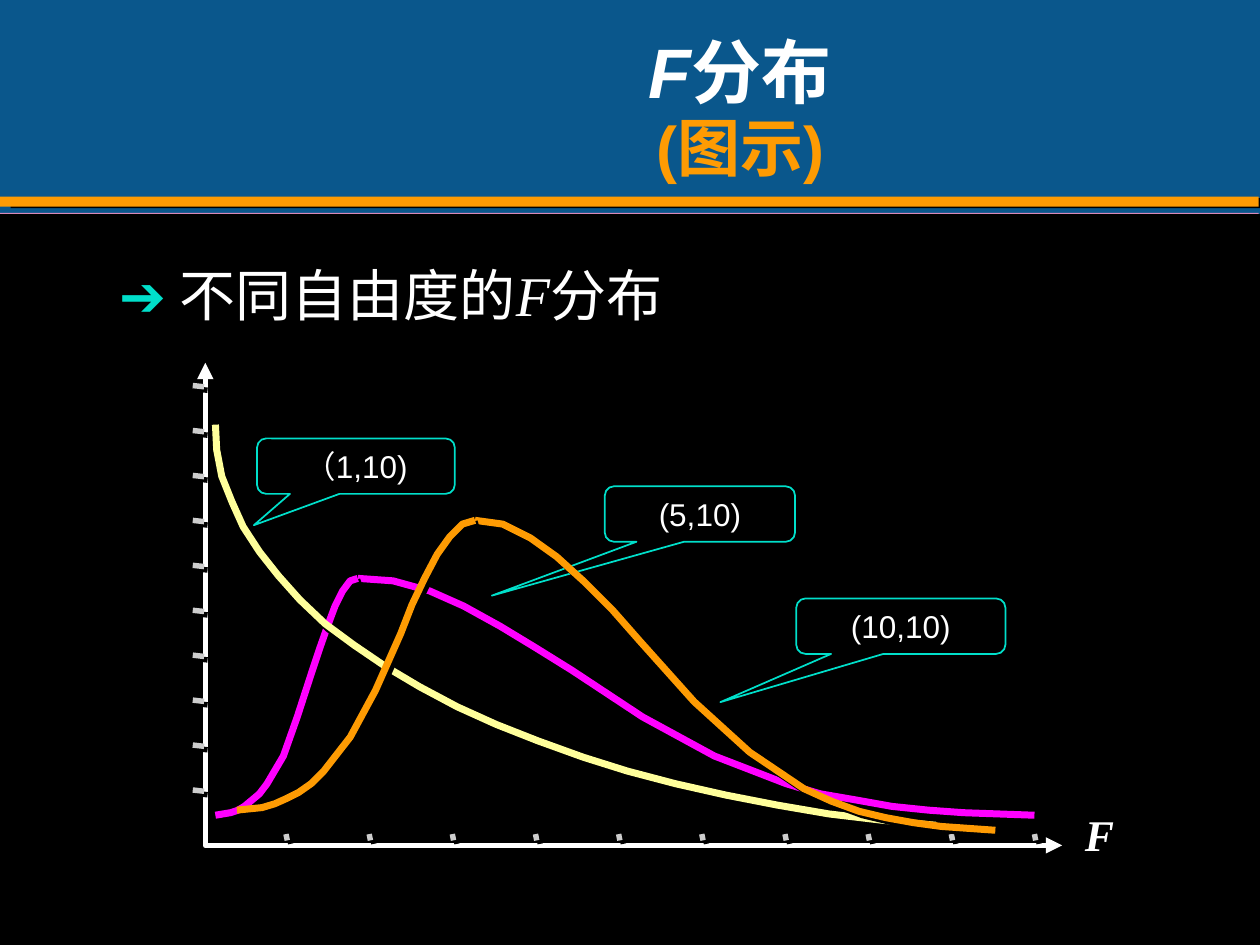
import pptx
import pptx.util
import pptx.dml.color
import pptx.enum.shapes
import pptx.enum.text
import pptx.oxml
import pptx.oxml.ns
from pptx.util import Inches

SHAPE = pptx.enum.shapes.MSO_SHAPE
ALIGN = pptx.enum.text.PP_ALIGN
ANCHOR = pptx.enum.text.MSO_ANCHOR
AUTO_SIZE = pptx.enum.text.MSO_AUTO_SIZE

WHITE, BLACK, BLUE, ORANGE = "FFFFFF", "000000", "0A578C", "FE9B03"
TEAL, MAGENTA, YELLOW, GREY, PINK = "00DFCA", "FF00FF", "FFFF9B", "CDCDCD", "D989B8"

# Curve points in inches; both halves of the (5,10) curve share their heights
RISE_HEIGHTS = [6.47, 6.45, 6.43, 6.4, 6.35, 6.3, 6.22, 6, 5.69, 5.32,
                5.14, 4.97, 4.81, 4.69, 4.61, 4.59]
MAGENTA_RIGHT = [8.21, 7.65, 7.37, 7.08, 6.8, 6.51, 6.24, 5.67, 5.1, 4.54,
                 4.25, 3.97, 3.68, 3.41, 3.12, 2.84]
MAGENTA_LEFT = [1.71, 1.83, 1.89, 1.94, 2, 2.06, 2.12, 2.25, 2.36, 2.48,
                2.54, 2.6, 2.66, 2.72, 2.78, 2.84]
YELLOW_CURVE = [
    (1.71, 3.37), (1.72, 3.57), (1.76, 3.78), (1.84, 3.98), (1.93, 4.18),
    (2.06, 4.38), (2.21, 4.57), (2.38, 4.76), (2.58, 4.95), (2.81, 5.12),
    (3.06, 5.29), (3.33, 5.45), (3.63, 5.61), (3.94, 5.75), (4.27, 5.88),
    (4.63, 6.01), (4.98, 6.12), (5.36, 6.22), (5.76, 6.31), (6.17, 6.39),
    (6.58, 6.46), (7, 6.51), (7.43, 6.55)]
ORANGE_RIGHT = [
    (7.9, 6.59), (7.47, 6.56), (7.25, 6.53), (7.03, 6.49), (6.82, 6.44),
    (6.6, 6.36), (6.38, 6.26), (5.95, 5.97), (5.51, 5.57), (5.08, 5.09),
    (4.86, 4.84), (4.64, 4.62), (4.42, 4.42), (4.21, 4.27), (3.99, 4.16),
    (3.77, 4.13)]
ORANGE_LEFT = [
    (1.88, 6.43), (2.08, 6.41), (2.18, 6.38), (2.27, 6.34), (2.37, 6.29),
    (2.47, 6.22), (2.57, 6.12), (2.78, 5.85), (2.98, 5.48), (3.18, 5.03),
    (3.27, 4.8), (3.37, 4.59), (3.47, 4.4), (3.57, 4.26), (3.67, 4.16),
    (3.77, 4.13)]


def rgb(code):
    return pptx.dml.color.RGBColor.from_string(code)


def add_xml(parent, tag, **attributes):
    child = pptx.oxml.parse_xml(f"<a:{tag} {pptx.oxml.ns.nsdecls('a')}/>")
    for name, value in attributes.items():
        child.set(name, str(value))
    parent.append(child)
    return child


def set_shadow(shape, distance=0, angle=45):
    """Give a hard black shadow, or none when the distance is zero."""
    effects = add_xml(shape.element.spPr, "effectLst")
    if distance:
        shadow = add_xml(effects, "outerShdw", dist=pptx.util.Pt(distance),
                         dir=angle * 60000, algn="ctr", rotWithShape=0)
        add_xml(shadow, "srgbClr", val=BLACK)


def set_line(shape, color, width):
    shape.line.color.rgb = rgb(color)
    shape.line.width = pptx.util.Pt(width)


def write(para, text, size=18, font="Arial", color=WHITE, bold=False, italic=False):
    span = para.add_run()
    span.text = text
    span.font.size = pptx.util.Pt(size)
    span.font.name = font
    span.font.color.rgb = rgb(color)
    span.font.bold = bold
    span.font.italic = italic


def place(shape, box):
    shape.left, shape.top, shape.width, shape.height = map(Inches, box)


def add_bar(page, box, color, distance=0, angle=0):
    bar = page.shapes.add_shape(SHAPE.RECTANGLE, *map(Inches, box))
    bar.fill.solid()
    bar.fill.fore_color.rgb = rgb(color)
    bar.line.fill.background()
    set_shadow(bar, distance, angle)


def add_path(page, points, color, width, distance=2.8, angle=45, arrows=False):
    corners = [(Inches(x), Inches(y)) for x, y in points]
    builder = page.shapes.build_freeform(*corners[0])
    builder.add_line_segments(corners[1:], close=False)
    path_shape = builder.convert_to_shape()
    path_shape.fill.background()
    set_line(path_shape, color, width)
    if arrows:
        for end in ("headEnd", "tailEnd"):
            add_xml(path_shape.line._get_or_add_ln(), end, type="triangle")
    set_shadow(path_shape, distance, angle)


def add_tick(page, x1, y1, x2, y2):
    tick = page.shapes.add_connector(
        pptx.enum.shapes.MSO_CONNECTOR.STRAIGHT, *map(Inches, (x1, y1, x2, y2)))
    set_line(tick, GREY, 3.13)
    set_shadow(tick, 2.8)


def add_callout(page, box, text, pointer):
    callout = page.shapes.add_shape(SHAPE.ROUNDED_RECTANGULAR_CALLOUT, *map(Inches, box))
    for index, value in enumerate(pointer):
        callout.adjustments[index] = value
    callout.fill.background()
    set_line(callout, TEAL, 1)
    set_shadow(callout)
    frame = callout.text_frame
    frame.word_wrap = True
    frame.auto_size = AUTO_SIZE.SHAPE_TO_FIT_TEXT
    frame.vertical_anchor = ANCHOR.TOP
    para = frame.paragraphs[0]
    para.alignment = ALIGN.CENTER
    write(para, text)


def draw_backdrop(page, box):
    left, top, width, height = box
    page.background.fill.solid()
    page.background.fill.fore_color.rgb = rgb(BLUE)
    add_bar(page, (left, top - 0.14, width - 0.01, 0.08), ORANGE, 6.1, 9)
    add_bar(page, (left, top - 0.01, width - 0.01, 0.04), PINK, 6.3, 18)
    add_bar(page, box, BLACK)


def draw_title(page, box):
    title = page.shapes.title
    place(title, box)
    page.shapes.element.append(title.element)  # bring above the backdrop
    frame = title.text_frame
    frame.auto_size = AUTO_SIZE.NONE
    frame.vertical_anchor = ANCHOR.MIDDLE
    para = frame.paragraphs[0]
    para.alignment = ALIGN.CENTER
    para.line_spacing = 0.95
    write(para, "F", size=40, bold=True, italic=True)
    write(para, "分布", size=40, bold=True)
    para.add_line_break()
    write(para, "(图示)", size=36, color=ORANGE, bold=True)


def draw_list(page, box):
    body = page.placeholders[1]
    place(body, box)
    page.shapes.element.append(body.element)
    frame = body.text_frame
    frame.auto_size = AUTO_SIZE.SHAPE_TO_FIT_TEXT
    para = frame.paragraphs[0]
    para.alignment = ALIGN.JUSTIFY
    para.space_before = pptx.util.Pt(0)
    properties = para._p.get_or_add_pPr()
    properties.set("marL", str(Inches(0.5)))
    properties.set("indent", str(Inches(-0.5)))
    add_xml(properties, "buNone")
    write(para, " ", size=32, color="F0F0F0")
    write(para, "➔ ", size=32, font="Times New Roman", color=TEAL, bold=True)
    write(para, "不同自由度的", size=32)
    write(para, "F", size=32, font="Times New Roman", italic=True)
    write(para, "分布", size=32)


def draw_axes(page, box):
    left, top, width, height = box
    right, bottom = left + width, top + height
    label = page.shapes.add_textbox(*map(Inches, (right + 0.18, bottom - 0.3, 0.23, 0.42)))
    frame = label.text_frame
    frame.word_wrap = False
    frame.auto_size = AUTO_SIZE.SHAPE_TO_FIT_TEXT
    frame.margin_left = frame.margin_right = frame.margin_top = frame.margin_bottom = 0
    write(frame.paragraphs[0], "F", size=25, font="Times New Roman", bold=True, italic=True)
    add_path(page, [(left, top), (left, bottom), (right, bottom)], WHITE, 3.13, arrows=True)
    for index in range(10):
        x = left + 0.64 + 0.66 * index
        y = top + 0.18 + 3.21 * index / 9
        add_tick(page, x, bottom - 0.09, x + 0.01, bottom - 0.04)
        add_tick(page, left - 0.1, y, left - 0.01, y + 0.01)


def draw_curves(page):
    for columns in (MAGENTA_RIGHT, MAGENTA_LEFT):
        add_path(page, list(zip(columns, RISE_HEIGHTS)), MAGENTA, 4)
    add_path(page, YELLOW_CURVE, YELLOW, 4, distance=3.6, angle=56)
    add_callout(page, (2.04, 3.48, 1.57, 0.44), "（1,10)", (-0.516, 1.065, 0.167))
    add_callout(page, (4.8, 3.86, 1.51, 0.44), "(5,10)", (-1.094, 1.472, 0.167))
    add_callout(page, (6.32, 4.75, 1.66, 0.44), "(10,10)", (-0.863, 1.37, 0.167))
    for points in (ORANGE_RIGHT, ORANGE_LEFT):
        add_path(page, points, ORANGE, 4)


def main():
    deck = pptx.Presentation()
    deck.slide_width, deck.slide_height = Inches(10), Inches(7.5)
    page = deck.slides.add_slide(deck.slide_layouts[1])
    draw_backdrop(page, (0, 1.7, 10, 5.8))
    draw_title(page, (2, 0.25, 7.75, 1.25))
    draw_list(page, (0.75, 2.02, 7.92, 0.63))
    draw_axes(page, (1.63, 2.88, 6.8, 3.83))
    draw_curves(page)
    deck.save("out.pptx")


if __name__ == "__main__":
    main()
